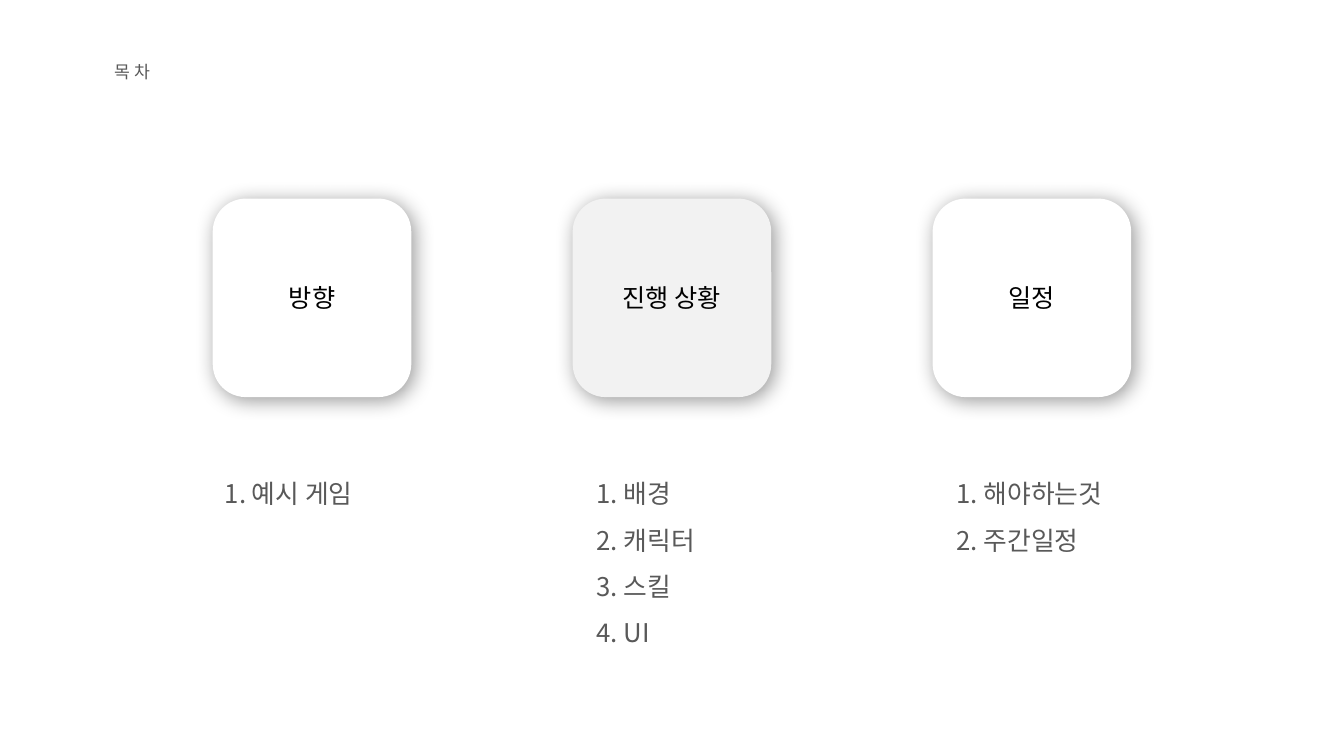
import pptx
import pptx.dml.color
import pptx.enum.shapes
import pptx.enum.text
import pptx.oxml
import pptx.oxml.ns
import pptx.util

FONT = "Noto Sans CJK KR"
COLORS = {"ink": "000000", "gray": "595959", "white": "FFFFFF", "pale": "F2F2F2"}
LEFT, COLUMN, ROW = 2.11, 1.19, 1.97
SHADOW = (
    f'<a:effectLst {pptx.oxml.ns.nsdecls("a")}>'
    '<a:outerShdw blurRad="190500" dist="38100" dir="2700000" algn="tl" rotWithShape="0">'
    '<a:srgbClr val="000000"><a:alpha val="40000"/></a:srgbClr>'
    '</a:outerShdw></a:effectLst>'
)


def paint(name):
    return pptx.dml.color.RGBColor.from_string(COLORS[name])


def write(frame, lines, size=18, color="ink", align=None, space=None):
    for index, line in enumerate(lines):
        para = frame.paragraphs[0] if index == 0 else frame.add_paragraph()
        para.alignment = align
        para.line_spacing = space
        run = para.add_run()
        run.text = line
        run.font.size = pptx.util.Pt(size)
        run.font.name = FONT
        run.font.color.rgb = paint(color)
        east = pptx.oxml.parse_xml(
            f'<a:ea {pptx.oxml.ns.nsdecls("a")} typeface="{FONT}"/>')
        run.font._element.append(east)


class Page:
    """Draws elements on one slide by columns and rows of a grid."""

    def __init__(self, deck):
        self.slide = deck.slides.add_slide(deck.slide_layouts[6])

    def place(self, col, row, wide, high):
        sizes = LEFT + col * COLUMN, row * ROW, wide * COLUMN, high * ROW
        return [pptx.util.Inches(size) for size in sizes]

    def text(self, lines, col, row, wide, high, **style):
        box = self.slide.shapes.add_textbox(*self.place(col, row, wide, high))
        frame = box.text_frame
        frame.word_wrap = True
        frame.auto_size = pptx.enum.text.MSO_AUTO_SIZE.SHAPE_TO_FIT_TEXT
        frame.margin_left = frame.margin_right = pptx.util.Inches(0.12)
        frame.margin_top = frame.margin_bottom = pptx.util.Inches(0.06)
        write(frame, lines, color="gray", **style)

    def card(self, label, col, fill):
        card = self.slide.shapes.add_shape(
            pptx.enum.shapes.MSO_SHAPE.ROUNDED_RECTANGLE,
            *self.place(col, 1, ROW / COLUMN, 1))
        card.fill.solid()
        card.fill.fore_color.rgb = paint(fill)
        card.line.fill.background()
        card._element.spPr.append(pptx.oxml.parse_xml(SHADOW))
        card.text_frame.vertical_anchor = pptx.enum.text.MSO_ANCHOR.MIDDLE
        write(card.text_frame, [label], align=pptx.enum.text.PP_ALIGN.CENTER)


def main():
    deck = pptx.Presentation()
    deck.slide_width = pptx.util.Inches(13.33)
    deck.slide_height = pptx.util.Inches(7.5)
    page = Page(deck)
    page.text(["목 차"], -0.92, 0.28, 1.55, 0.17, size=12.3)
    topics = [
        ("방향", "white", 0, 1.66, ["예시 게임"]),
        ("진행 상황", "pale", 0.1, 2.14, ["배경", "캐릭터", "스킬", "UI"]),
        ("일정", "white", 0.1, 1.66, ["해야하는것", "주간일정"]),
    ]
    for index, (label, fill, shift, wide, items) in enumerate(topics):
        col = index * 3
        lines = [f"{number}. {item}" for number, item in enumerate(items, 1)]
        page.text(lines, col + shift, 2.3, wide, 0.06 + 0.24 * len(items),
                  size=18.4, space=1.5)
        page.card(label, col, fill)
    deck.save("out.pptx")


if __name__ == "__main__":
    main()
